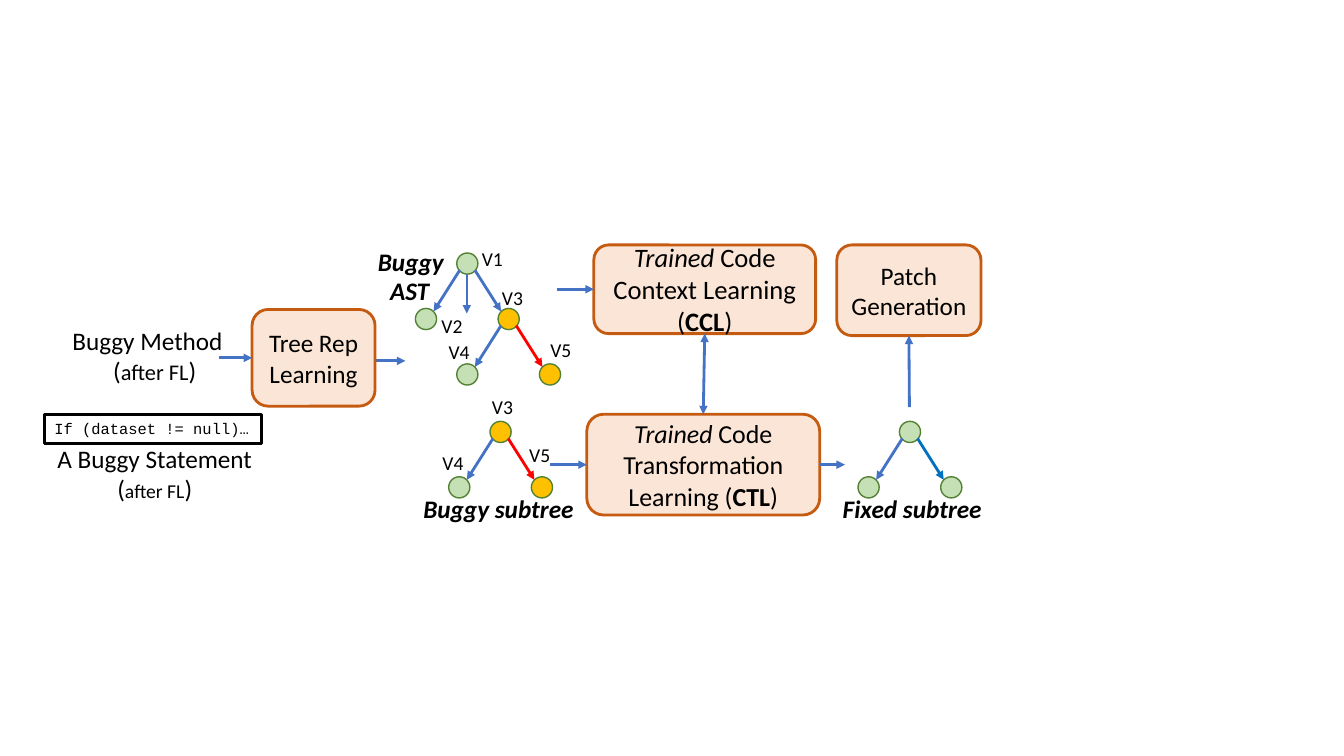
from dataclasses import dataclass
from typing import Optional

from lxml.etree import SubElement
from pptx import Presentation
from pptx.dml.color import RGBColor
from pptx.enum.shapes import MSO_CONNECTOR, MSO_SHAPE
from pptx.enum.text import MSO_ANCHOR, PP_ALIGN
from pptx.oxml.ns import qn
from pptx.util import Inches, Pt

BLACK = RGBColor(0x00, 0x00, 0x00)
BLUE = RGBColor(0x44, 0x72, 0xC4)
BRIGHT_BLUE = RGBColor(0x00, 0x70, 0xC0)
RED = RGBColor(0xFF, 0x00, 0x00)
GREEN = RGBColor(0xC5, 0xE0, 0xB4)
DARK_GREEN = RGBColor(0x54, 0x82, 0x35)
GOLD = RGBColor(0xFF, 0xC0, 0x00)
PEACH = RGBColor(0xFB, 0xE5, 0xD6)
BROWN = RGBColor(0xC5, 0x5A, 0x11)

NODE_SIZE = 0.21
CHILD_SHIFT, CHILD_DROP = 0.41, 0.55
TOP, LEFT, BOTTOM, RIGHT = range(4)


@dataclass
class Run:
    text: str
    size: Optional[float] = None
    bold: Optional[bool] = None
    italic: Optional[bool] = None


@dataclass
class Line:
    runs: list[Run]
    align: PP_ALIGN = PP_ALIGN.CENTER


@dataclass
class Block:
    left: float
    top: float
    width: float
    height: float
    lines: list[Line]
    size: float = 18
    emphasis: Optional[bool] = None
    font: str = "Calibri"


@dataclass
class Branch:
    """Two children below the node at left, top."""
    left: float
    top: float
    right_fill: RGBColor
    right_edge: RGBColor


def plain(text: str, align: PP_ALIGN = PP_ALIGN.LEFT) -> list[Line]:
    return [Line([Run(text)], align)]


def after_fl(size: float) -> Line:
    return Line([Run("("), Run("after FL", size), Run(")")])


def write(shape, block: Block) -> None:
    frame = shape.text_frame
    frame.word_wrap = True
    for index, line in enumerate(block.lines):
        paragraph = frame.paragraphs[0] if index == 0 else frame.add_paragraph()
        paragraph.alignment = line.align
        paragraph.font.name = block.font
        paragraph.font.size = Pt(block.size)
        paragraph.font.color.rgb = BLACK
        paragraph.font.bold = paragraph.font.italic = block.emphasis
        for part in line.runs:
            run = paragraph.add_run()
            run.text = part.text
            if part.size:
                run.font.size = Pt(part.size)
            if part.bold:
                run.font.bold = True
            if part.italic:
                run.font.italic = True


def add_text(slide, block: Block):
    box = slide.shapes.add_textbox(Inches(block.left), Inches(block.top),
                                   Inches(block.width), Inches(block.height))
    write(box, block)
    return box


def add_filled(slide, kind, left: float, top: float, width: float, height: float,
               fill: RGBColor, line: RGBColor, weight: float):
    shape = slide.shapes.add_shape(kind, Inches(left), Inches(top),
                                   Inches(width), Inches(height))
    shape.shadow.inherit = False
    shape.fill.solid()
    shape.fill.fore_color.rgb = fill
    shape.line.color.rgb = line
    shape.line.width = Pt(weight)
    return shape


def add_step(slide, block: Block):
    shape = add_filled(slide, MSO_SHAPE.ROUNDED_RECTANGLE, block.left, block.top,
                       block.width, block.height, PEACH, BROWN, 2)
    shape.text_frame.vertical_anchor = MSO_ANCHOR.MIDDLE
    write(shape, block)
    return shape


def add_node(slide, left: float, top: float, fill: RGBColor) -> None:
    add_filled(slide, MSO_SHAPE.OVAL, left, top, NODE_SIZE, NODE_SIZE, fill, DARK_GREEN, 1)


def add_arrow(slide, start: tuple[float, float], end: tuple[float, float],
              color: RGBColor = BLUE, weight: float = 2, both_ends: bool = False):
    arrow = slide.shapes.add_connector(MSO_CONNECTOR.STRAIGHT, Inches(start[0]), Inches(start[1]),
                                       Inches(end[0]), Inches(end[1]))
    arrow.line.color.rgb = color
    arrow.line.width = Pt(weight)
    outline = arrow.line._get_or_add_ln()
    for name in ("a:headEnd", "a:tailEnd") if both_ends else ("a:tailEnd",):
        SubElement(outline, qn(name), type="triangle")
    SubElement(arrow._element.spPr, qn("a:effectLst"))
    return arrow


def add_branch(slide, branch: Branch) -> None:
    x, y = branch.left, branch.top
    add_node(slide, x - CHILD_SHIFT, y + CHILD_DROP, GREEN)
    add_node(slide, x + CHILD_SHIFT, y + CHILD_DROP, branch.right_fill)
    add_arrow(slide, (x + 0.03, y + 0.17), (x - 0.23, y + 0.58))
    add_arrow(slide, (x + 0.18, y + 0.17), (x + 0.44, y + 0.58), branch.right_edge)


def main() -> None:
    presentation = Presentation()
    presentation.slide_width = Inches(13.33)
    presentation.slide_height = Inches(7.5)
    slide = presentation.slides.add_slide(presentation.slide_layouts[6])

    # Trees: the AST, the buggy subtree and the fixed subtree
    for left, top, fill in ((4.53, 2.51, GREEN), (4.86, 4.18, GOLD), (8.92, 4.18, GREEN)):
        add_node(slide, left, top, fill)
    for branch in (Branch(4.53, 2.51, GOLD, BLUE), Branch(4.94, 3.06, GOLD, RED),
                   Branch(4.86, 4.18, GOLD, RED), Branch(8.92, 4.18, GREEN, BRIGHT_BLUE)):
        add_branch(slide, branch)
    add_arrow(slide, (4.63, 2.72), (4.63, 3.11), weight=1)

    # Processing steps
    add_arrow(slide, (3.69, 3.58), (4.02, 3.58))
    tree_step = add_step(slide, Block(2.5, 3.07, 1.22, 0.96,
                                      plain("Tree Rep Learning", PP_ALIGN.CENTER)))
    context_step = add_step(slide, Block(5.89, 2.43, 2.2, 0.88, [
        Line([Run("Trained", italic=True), Run(" Code Context Learning")]),
        Line([Run("("), Run("CCL", bold=True), Run(")")])], 19))
    transform_step = add_step(slide, Block(5.82, 4.11, 2.31, 1, [
        Line([Run("Trained", italic=True), Run(" Code Transformation Learning ("),
              Run("CTL", bold=True), Run(")")])], 18.5))
    patch_step = add_step(slide, Block(8.3, 2.43, 1.43, 0.9,
                                       plain("Patch Generation", PP_ALIGN.CENTER)))

    # Flow between the steps
    add_arrow(slide, (2.17, 3.55), (2.5, 3.55)).end_connect(tree_step, LEFT)
    add_arrow(slide, (5.52, 2.87), (5.89, 2.87)).end_connect(context_step, LEFT)
    add_arrow(slide, (5.46, 4.61), (5.82, 4.61)).end_connect(transform_step, LEFT)
    add_arrow(slide, (8.13, 4.61), (8.38, 4.61)).begin_connect(transform_step, RIGHT)
    add_arrow(slide, (9.02, 4.04), (9.02, 3.33)).end_connect(patch_step, BOTTOM)
    exchange = add_arrow(slide, (6.99, 3.31), (6.98, 4.11), both_ends=True)
    exchange.begin_connect(context_step, BOTTOM)
    exchange.end_connect(transform_step, TOP)

    # Inputs
    add_text(slide, Block(0.62, 3.18, 1.83, 0.71, plain("Buggy Method") + [after_fl(16)]))
    add_text(slide, Block(0.13, 4.35, 2.81, 0.71,
                          plain("A Buggy Statement", PP_ALIGN.CENTER) + [after_fl(14)]))
    code = add_text(slide, Block(0.44, 4.11, 2.15, 0.29, plain("If (dataset != null)…"),
                                 size=11, font="Courier New"))
    code.line.color.rgb = BLACK
    code.line.width = Pt(2)

    # Tree captions
    for text, left, top, width in (("Buggy", 3.65, 2.39, 0.87), ("AST", 3.77, 2.68, 0.6),
                                   ("Buggy subtree", 4.1, 4.84, 1.79),
                                   ("Fixed subtree", 8.26, 4.84, 1.62)):
        add_text(slide, Block(left, top, width, 0.4, plain(text), emphasis=True))

    # Node labels
    for text, left, top in (("V1", 4.68, 2.4), ("V2", 4.28, 3.07), ("V3", 4.88, 2.79),
                            ("V4", 4.35, 3.32), ("V5", 5.36, 3.3), ("V3", 4.78, 3.87),
                            ("V4", 4.29, 4.42), ("V5", 5.15, 4.34)):
        add_text(slide, Block(left, top, 0.55, 0.34, plain(text), size=14))

    presentation.save("out.pptx")


if __name__ == "__main__":
    main()
